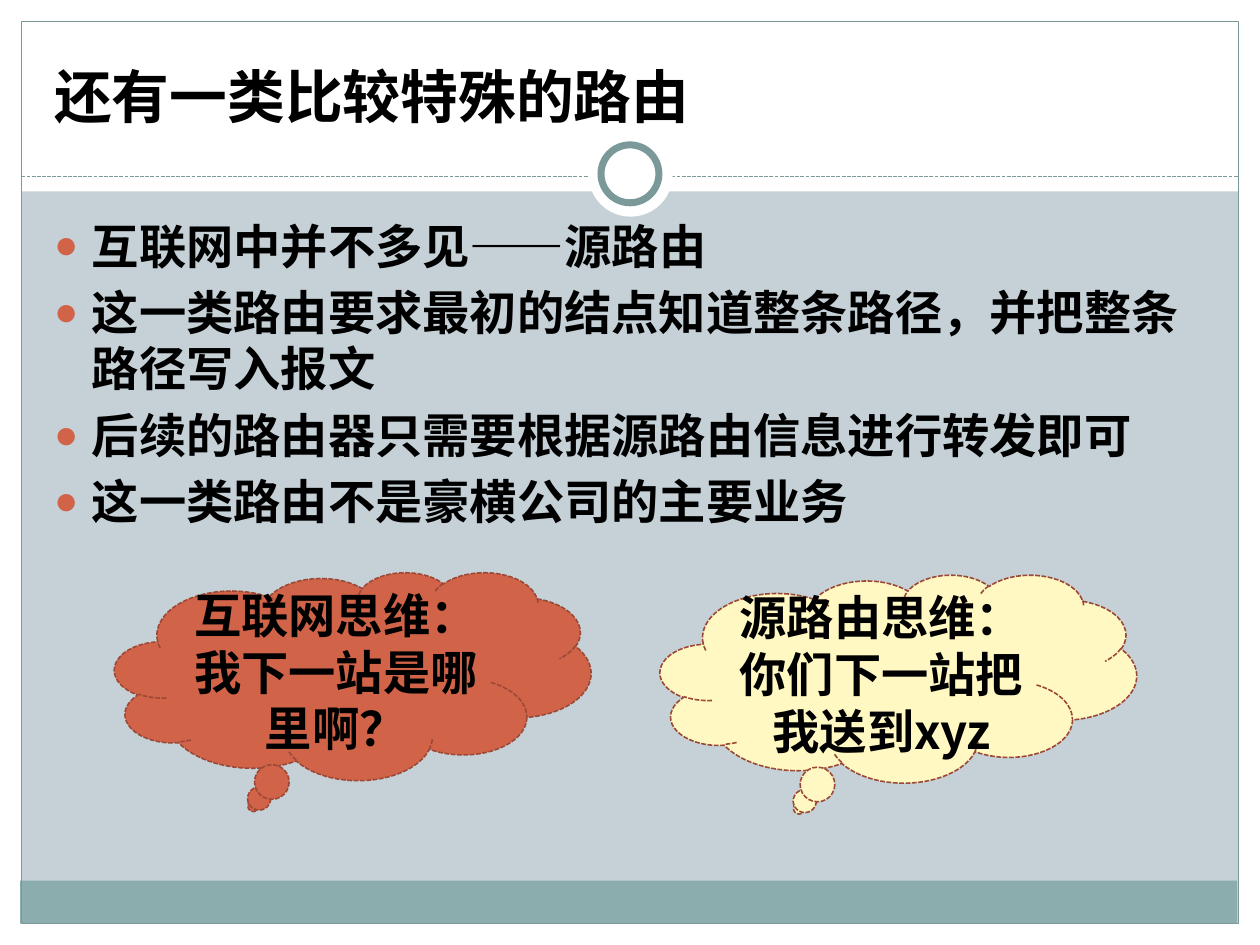
from lxml import etree
from pptx import Presentation
from pptx.dml.color import RGBColor
from pptx.enum.dml import MSO_LINE
from pptx.enum.shapes import MSO_CONNECTOR, MSO_SHAPE
from pptx.enum.text import MSO_ANCHOR, MSO_AUTO_SIZE, PP_ALIGN
from pptx.oxml.ns import qn
from pptx.util import Pt

EMU_PER_PX = 9144
FONT = "Noto Sans CJK SC"
BLACK = RGBColor(0x00, 0x00, 0x00)
WHITE = RGBColor(0xFF, 0xFF, 0xFF)
MIST = RGBColor(0xC5, 0xD1, 0xD7)
TEAL = RGBColor(0x8C, 0xAD, 0xAE)
FRAME = RGBColor(0x7C, 0x99, 0x9A)
RUST = RGBColor(0xD1, 0x63, 0x49)
CREAM = RGBColor(0xFF, 0xF8, 0xC2)
BROWN = RGBColor(0x9B, 0x49, 0x36)
RECTANGLE, OVAL, CLOUD = MSO_SHAPE.RECTANGLE, MSO_SHAPE.OVAL, MSO_SHAPE.CLOUD_CALLOUT
STRAIGHT, DASH = MSO_CONNECTOR.STRAIGHT, MSO_LINE.SQUARE_DOT
LEFT, CENTER = PP_ALIGN.LEFT, PP_ALIGN.CENTER
TOP, MIDDLE, BOTTOM = MSO_ANCHOR.TOP, MSO_ANCHOR.MIDDLE, MSO_ANCHOR.BOTTOM
FIXED = MSO_AUTO_SIZE.NONE

BULLETS = [
    "互联网中并不多见——源路由",
    "这一类路由要求最初的结点知道整条路径，并把整条路径写入报文",
    "后续的路由器只需要根据源路由信息进行转发即可",
    "这一类路由不是豪横公司的主要业务",
]


def px(*lengths):
    return [length * EMU_PER_PX for length in lengths]


class SlideBuilder:
    """Draws styled elements on the current slide."""

    def __init__(self, slide):
        self.slide = slide
        fill = slide.background.fill
        fill.solid()
        fill.fore_color.rgb = MIST

    def style_line(self, line, color, width, dash=None):
        line.color.rgb = color
        line.width = Pt(width)
        if dash is not None:
            line.dash_style = dash

    def shape(self, kind, bounds, fill=None, line=None):
        shape = self.slide.shapes.add_shape(kind, *px(*bounds))
        shape.shadow.inherit = False
        if fill is None:
            shape.fill.background()
        else:
            shape.fill.solid()
            shape.fill.fore_color.rgb = fill
        if line is None:
            shape.line.fill.background()
        else:
            self.style_line(shape.line, *line)
        return shape

    def rule(self, ends, line):
        rule = self.slide.shapes.add_connector(STRAIGHT, *px(*ends))
        self.style_line(rule.line, *line)
        etree.SubElement(rule.element.spPr, qn("a:effectLst"))

    def set_text(self, box, text, size, align, anchor):
        frame = box.text_frame
        frame.text = text
        frame.word_wrap = True
        frame.auto_size = FIXED
        frame.vertical_anchor = anchor
        for paragraph in frame.paragraphs:
            paragraph.alignment = align
            for span in paragraph.runs:
                font = span.font
                font.size = Pt(size)
                font.bold = True
                font.color.rgb = BLACK
                font.name = FONT
                latin = font._element.find(qn("a:latin"))
                latin.addnext(latin.makeelement(qn("a:ea"), {"typeface": FONT}))

    def place(self, box, bounds):
        box.left, box.top, box.width, box.height = px(*bounds)
        box.element.getparent().append(box.element)

    def title(self, text, bounds):
        box = self.slide.shapes.title
        self.place(box, bounds)
        self.set_text(box, text, 33, LEFT, BOTTOM)

    def bullets(self, items, bounds):
        box = self.slide.placeholders[1]
        self.place(box, bounds)
        self.set_text(box, "\n".join(items), 27, LEFT, TOP)
        indent, = px(30)
        for paragraph in box.text_frame.paragraphs:
            properties = paragraph._p.get_or_add_pPr()
            properties.set("marL", str(indent))
            properties.set("indent", str(-indent))
            color = etree.SubElement(properties, qn("a:buClr"))
            etree.SubElement(color, qn("a:srgbClr"), val=str(RUST))
            etree.SubElement(properties, qn("a:buSzPct"), val="85000")
            etree.SubElement(properties, qn("a:buChar"), char="●")

    def thought(self, text, bounds, fill):
        cloud = self.shape(CLOUD, bounds, fill, (BROWN, 0.9, DASH))
        self.set_text(cloud, text, 27, CENTER, MIDDLE)


def main():
    deck = Presentation()
    deck.slide_width, deck.slide_height = px(1000, 750)
    page = SlideBuilder(deck.slides.add_slide(deck.slide_layouts[1]))

    for margin in [(0, 733, 1000, 17), (0, 0, 1000, 152), (0, 0, 17, 750), (983, 0, 17, 750)]:
        page.shape(RECTANGLE, margin, WHITE)
    page.shape(RECTANGLE, (16, 699, 966, 34), TEAL)
    page.shape(RECTANGLE, (17, 17, 966, 716), line=(FRAME, 0.75))
    page.rule((17, 140, 983, 140), (FRAME, 0.75, DASH))
    page.shape(OVAL, (467, 105, 67, 67), WHITE)
    page.shape(OVAL, (477, 115, 46, 46), WHITE, (FRAME, 4))

    page.title("还有一类比较特殊的路由", (33, 25, 933, 83))
    page.bullets(BULLETS, (33, 167, 930, 500))
    page.thought("互联网思维：我下一站是哪里啊？", (91, 454, 378, 165), RUST)
    page.thought("源路由思维：你们下一站把我送到xyz", (524, 456, 378, 165), CREAM)
    deck.save("out.pptx")


if __name__ == "__main__":
    main()
